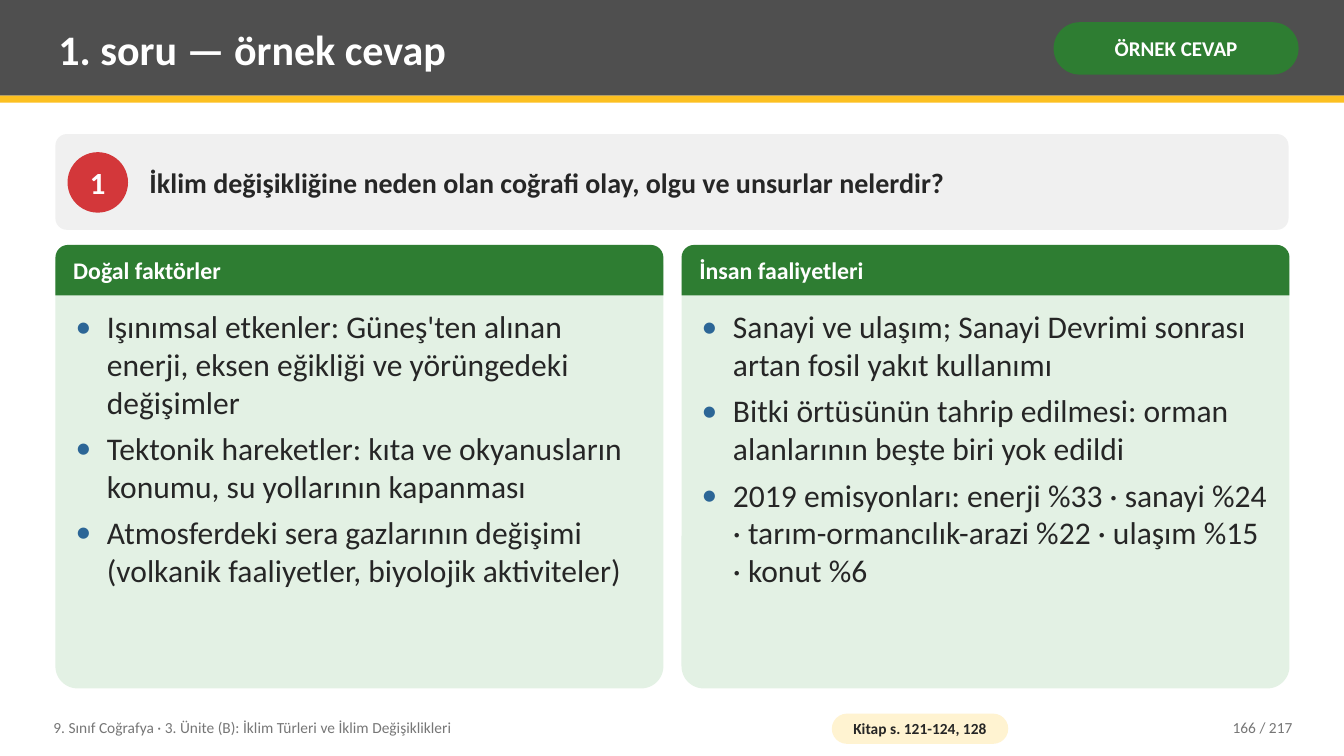
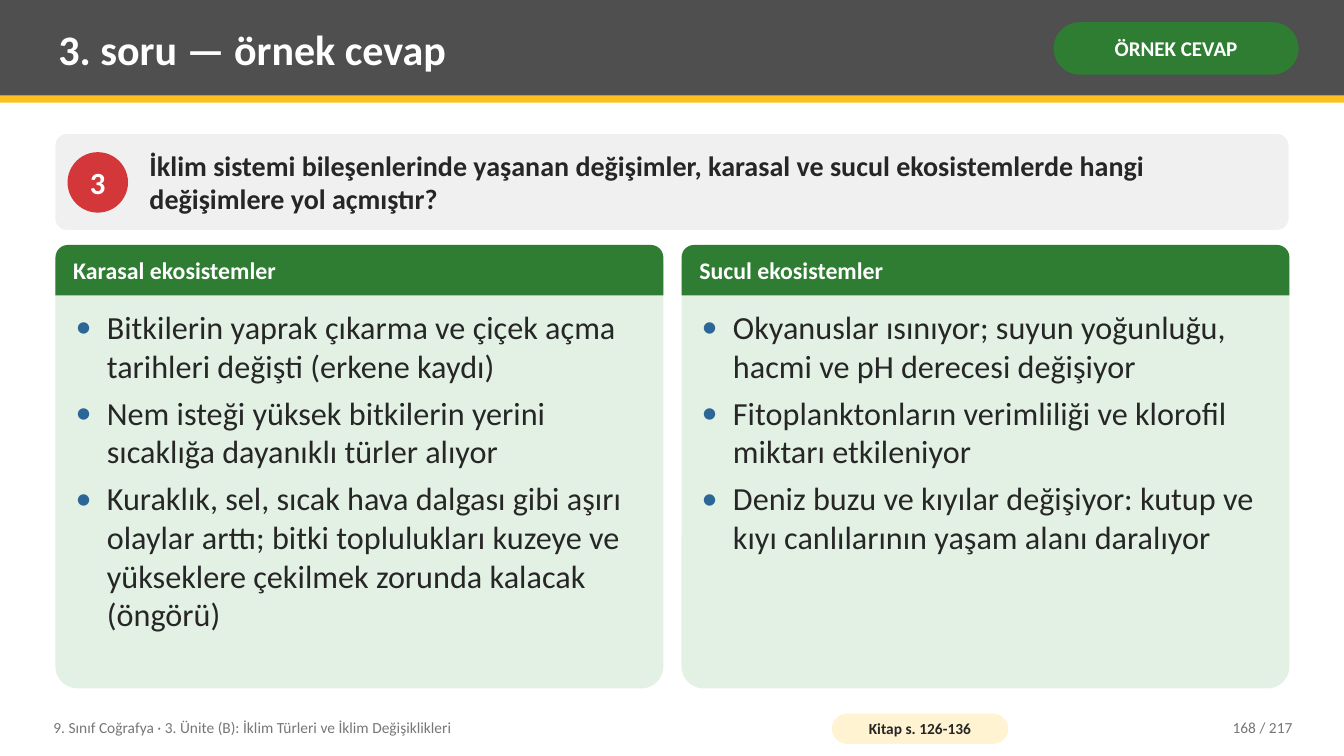
"""Build two model-answer slides for a geography unit on climate change."""
import dataclasses

import pptx
import pptx.dml.color
import pptx.enum.shapes
import pptx.enum.text
import pptx.oxml
import pptx.oxml.ns
import pptx.util

PX = 9144
SHAPE = pptx.enum.shapes.MSO_SHAPE
ALIGN = pptx.enum.text.PP_ALIGN
ANCHOR = pptx.enum.text.MSO_ANCHOR


@dataclasses.dataclass(frozen=True)
class Theme:
    font: str = "Calibri"
    band: str = "4F4F4F"
    accent: str = "FCC021"
    green: str = "2E7D32"
    panel: str = "E3F1E4"
    card: str = "F0F0F0"
    badge: str = "D3373A"
    reference: str = "FFF3D1"
    bullet: str = "2C6696"
    ink: str = "262626"
    muted: str = "767676"
    white: str = "FFFFFF"
    title_size: int = 30
    badge_size: int = 22
    question_size: int = 20
    heading_size: int = 17
    tag_size: int = 15
    footer_size: int = 11


THEME = Theme()
WIDTH, HEIGHT = 1333, 750
MARGIN, CONTENT_WIDTH = 55, 1223
COLUMN_WIDTH, COLUMN_STEP = 603, 621
COLUMN_TOP, COLUMN_HEIGHT, HEADING_HEIGHT = 243, 440, 50
BODY_PADDING, HANGING = 12, 31
TAG = "ÖRNEK CEVAP"
FOOTER = "9. Sınıf Coğrafya · 3. Ünite (B): İklim Türleri ve İklim Değişiklikleri"
PAGE_COUNT = 217

ANSWERS = [
    {
        "number": 1,
        "page": 166,
        "reference": "Kitap s. 121-124, 128",
        "body_size": 22.5,
        "question": "İklim değişikliğine neden olan coğrafi olay, olgu ve unsurlar nelerdir?",
        "columns": {
            "Doğal faktörler": [
                "Işınımsal etkenler: Güneş'ten alınan enerji, eksen eğikliği ve yörüngedeki değişimler",
                "Tektonik hareketler: kıta ve okyanusların konumu, su yollarının kapanması",
                "Atmosferdeki sera gazlarının değişimi (volkanik faaliyetler, biyolojik aktiviteler)",
            ],
            "İnsan faaliyetleri": [
                "Sanayi ve ulaşım; Sanayi Devrimi sonrası artan fosil yakıt kullanımı",
                "Bitki örtüsünün tahrip edilmesi: orman alanlarının beşte biri yok edildi",
                "2019 emisyonları: enerji %33 · sanayi %24 · tarım-ormancılık-arazi %22 · ulaşım %15 · konut %6",
            ],
        },
    },
    {
        "number": 3,
        "page": 168,
        "reference": "Kitap s. 126-136",
        "body_size": 23,
        "question": "İklim sistemi bileşenlerinde yaşanan değişimler, karasal ve sucul ekosistemlerde "
                    "hangi değişimlere yol açmıştır?",
        "columns": {
            "Karasal ekosistemler": [
                "Bitkilerin yaprak çıkarma ve çiçek açma tarihleri değişti (erkene kaydı)",
                "Nem isteği yüksek bitkilerin yerini sıcaklığa dayanıklı türler alıyor",
                "Kuraklık, sel, sıcak hava dalgası gibi aşırı olaylar arttı; bitki toplulukları "
                "kuzeye ve yükseklere çekilmek zorunda kalacak (öngörü)",
            ],
            "Sucul ekosistemler": [
                "Okyanuslar ısınıyor; suyun yoğunluğu, hacmi ve pH derecesi değişiyor",
                "Fitoplanktonların verimliliği ve klorofil miktarı etkileniyor",
                "Deniz buzu ve kıyılar değişiyor: kutup ve kıyı canlılarının yaşam alanı daralıyor",
            ],
        },
    },
]


def add_block(slide, kind, box, fill, rounding=None):
    """Add a filled preset shape without line or shadow."""
    shape = slide.shapes.add_shape(kind, *(value * PX for value in box))
    shape.shadow.inherit = False
    shape.fill.solid()
    shape.fill.fore_color.rgb = pptx.dml.color.RGBColor.from_string(fill)
    shape.line.fill.background()
    if rounding is not None:
        shape.adjustments[0] = rounding
    return shape


def write(shape, lines, size, color, bold=False, align=ALIGN.LEFT,
          anchor=ANCHOR.MIDDLE, insets=(8, 4, 8, 4), bulleted=False):
    """Fill a shape with one paragraph per line."""
    frame = shape.text_frame
    frame.word_wrap = True
    frame.auto_size = pptx.enum.text.MSO_AUTO_SIZE.NONE
    frame.vertical_anchor = anchor
    frame.margin_left, frame.margin_top, frame.margin_right, frame.margin_bottom = (
        value * PX for value in insets)
    for index, line in enumerate(lines):
        paragraph = frame.add_paragraph() if index else frame.paragraphs[0]
        paragraph.alignment = align
        if bulleted:
            properties = paragraph._p.get_or_add_pPr()
            properties.set("marL", str(HANGING * PX))
            properties.set("indent", str(-HANGING * PX))
            namespace = pptx.oxml.ns.nsdecls("a")
            for markup in (
                f'<a:buClr {namespace}><a:srgbClr val="{THEME.bullet}"/></a:buClr>',
                f'<a:buFont {namespace} typeface="{THEME.font}"/>',
                f'<a:buChar {namespace} char="•"/>',
            ):
                properties.append(pptx.oxml.parse_xml(markup))
            if index < len(lines) - 1:
                paragraph.space_after = pptx.util.Pt(6)
        run = paragraph.add_run()
        run.text = line
        run.font.name = THEME.font
        run.font.size = pptx.util.Pt(size)
        run.font.bold = bold
        run.font.color.rgb = pptx.dml.color.RGBColor.from_string(color)


presentation = pptx.Presentation()
presentation.slide_width = WIDTH * PX
presentation.slide_height = HEIGHT * PX

for answer in ANSWERS:
    slide = presentation.slides.add_slide(presentation.slide_layouts[5])

    add_block(slide, SHAPE.RECTANGLE, (0, 0, WIDTH, 95), THEME.band)
    add_block(slide, SHAPE.RECTANGLE, (0, 95, WIDTH, 7), THEME.accent)
    title = slide.shapes.title
    title.element.getparent().append(title.element)
    title.left, title.top, title.width, title.height = (
        value * PX for value in (50, 7, 975, 82))
    write(title, [f"{answer['number']}. soru — örnek cevap"], THEME.title_size, THEME.white, bold=True)
    tag = add_block(slide, SHAPE.ROUNDED_RECTANGLE, (1045, 22, 243, 52), THEME.green, 0.5)
    write(tag, [TAG], THEME.tag_size, THEME.white, bold=True, align=ALIGN.CENTER, insets=(5, 2, 5, 2))

    card = add_block(slide, SHAPE.ROUNDED_RECTANGLE, (MARGIN, 133, CONTENT_WIDTH, 95), THEME.card, 0.12)
    write(card, [answer["question"]], THEME.question_size, THEME.ink, bold=True, insets=(90, 4, 15, 4))
    badge = add_block(slide, SHAPE.OVAL, (67, 151, 60, 60), THEME.badge)
    write(badge, [str(answer["number"])], THEME.badge_size, THEME.white, bold=True,
          align=ALIGN.CENTER, insets=(0, 0, 0, 0))

    for column, (heading, points) in enumerate(answer["columns"].items()):
        left = MARGIN + column * COLUMN_STEP
        add_block(slide, SHAPE.ROUNDED_RECTANGLE,
                  (left, COLUMN_TOP, COLUMN_WIDTH, COLUMN_HEIGHT), THEME.panel, 0.05)
        header = add_block(slide, SHAPE.ROUND_2_SAME_RECTANGLE,
                           (left, COLUMN_TOP, COLUMN_WIDTH, HEADING_HEIGHT), THEME.green, 0.25)
        write(header, [heading], THEME.heading_size, THEME.white, bold=True, insets=(14, 0, 14, 4))
        body_box = (left + BODY_PADDING, COLUMN_TOP + HEADING_HEIGHT + 8,
                    COLUMN_WIDTH - 2 * BODY_PADDING, COLUMN_HEIGHT - HEADING_HEIGHT - 16)
        body = slide.shapes.add_textbox(*(value * PX for value in body_box))
        write(body, points, answer["body_size"], THEME.ink, anchor=ANCHOR.TOP, bulleted=True)

    footer = slide.shapes.add_textbox(*(value * PX for value in (45, 704, 760, 36)))
    write(footer, [FOOTER], THEME.footer_size, THEME.muted)
    reference = add_block(slide, SHAPE.ROUNDED_RECTANGLE, (825, 708, 175, 30), THEME.reference, 0.5)
    write(reference, [answer["reference"]], THEME.footer_size, THEME.ink, bold=True,
          align=ALIGN.CENTER, insets=(4, 0, 4, 0))
    page = slide.shapes.add_textbox(*(value * PX for value in (1130, 704, 160, 36)))
    write(page, [f"{answer['page']} / {PAGE_COUNT}"], THEME.footer_size, THEME.muted, align=ALIGN.RIGHT)

presentation.save("out.pptx")
